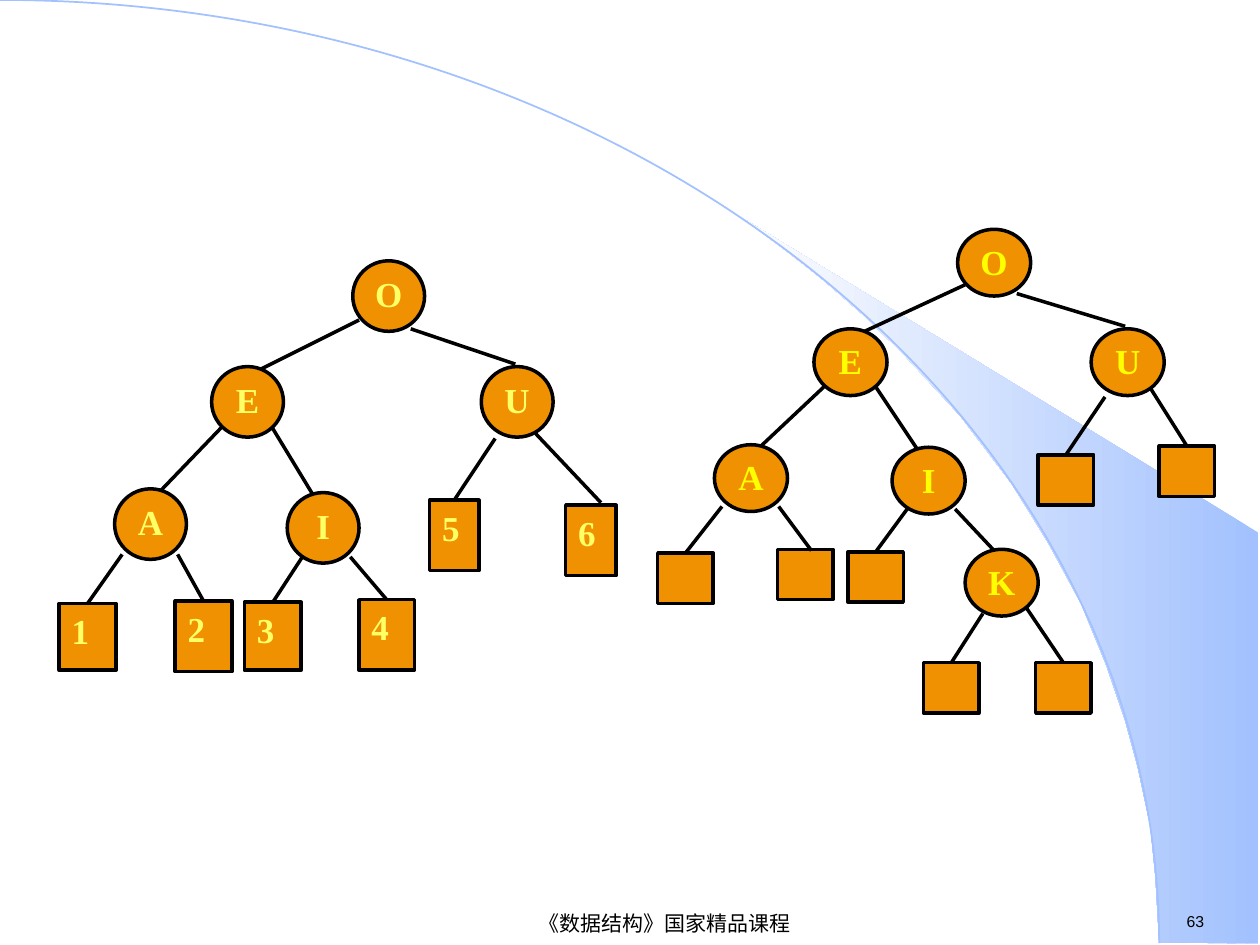
from pptx import Presentation
from pptx import util as u
from pptx.dml.color import RGBColor
from pptx.enum import shapes, text
from lxml import etree

COLORS = {
    "node": "EF9100",
    "outline": "000000",
    "left label": "FFFF66",
    "right label": "FFFF00",
    "sky": "A2C1FE",
    "pale": "FEFEFE",
    "footer": "000000",
}
DRAWING = "{http://schemas.openxmlformats.org/drawingml/2006/main}"

presentation = Presentation()
presentation.slide_width = u.Inches(10)
presentation.slide_height = u.Inches(7.5)
slide = presentation.slides.add_slide(presentation.slide_layouts[6])


def write(shape, words, size, font, color, align, margins, anchor):
    frame = shape.text_frame
    frame.margin_left = frame.margin_right = u.Inches(margins[0])
    frame.margin_top = frame.margin_bottom = u.Inches(margins[1])
    frame.vertical_anchor = anchor
    frame.text = words
    paragraph = frame.paragraphs[0]
    paragraph.alignment = align
    for run in paragraph.runs:
        run.font.size = u.Pt(size)
        run.font.name = font
        run.font.bold = font == "Times New Roman"
        run.font.color.rgb = RGBColor.from_string(COLORS[color])


def add_node(kind, left, top, width, height):
    shape = slide.shapes.add_shape(
        kind, u.Inches(left), u.Inches(top), u.Inches(width), u.Inches(height))
    shape.shadow.inherit = False
    shape.fill.solid()
    shape.fill.fore_color.rgb = RGBColor.from_string(COLORS["node"])
    shape.line.color.rgb = RGBColor.from_string(COLORS["outline"])
    shape.line.width = u.Pt(2)
    return shape


beam_points = [
    (9.2, 7.48), (9.99, 7.49), (9.99, 4.23), (5.89, 1.73), (6.24, 1.99), (6.53, 2.22),
    (6.85, 2.5), (7.16, 2.8), (7.62, 3.3), (8.03, 3.84), (8.32, 4.31), (8.58, 4.79),
    (8.78, 5.28), (8.93, 5.72), (9.03, 6.09), (9.13, 6.56), (9.17, 6.96),
]
corners = [(u.Inches(x), u.Inches(y)) for x, y in beam_points]
builder = slide.shapes.build_freeform(*corners[0])
builder.add_line_segments(corners[1:], close=True)
beam = builder.convert_to_shape()
beam.shadow.inherit = False
beam.line.fill.background()
beam.fill.gradient()
beam.fill.gradient_angle = 180
for stop, name, position in zip(beam.fill.gradient_stops, ["sky", "pale"], [0, 1]):
    stop.color.rgb = RGBColor.from_string(COLORS[name])
    stop.position = position

arc = slide.shapes.add_shape(
    shapes.MSO_SHAPE.ARC, u.Inches(-9.2), u.Inches(0), u.Inches(18.4), u.Inches(14.97))
arc.shadow.inherit = False
arc.fill.background()
arc.line.color.rgb = RGBColor.from_string(COLORS["sky"])
arc.line.width = u.Pt(1)

footers = [
    ("63", 9.32, 7.19, 0.77, 0.25, 9, text.PP_ALIGN.LEFT, text.MSO_ANCHOR.TOP),
    ("《数据结构》国家精品课程", 2.4, 7.21, 5.75, 0.24, 12, text.PP_ALIGN.CENTER,
     text.MSO_ANCHOR.MIDDLE),
]
for words, left, top, width, height, size, align, anchor in footers:
    box = slide.shapes.add_textbox(
        u.Inches(left), u.Inches(top), u.Inches(width), u.Inches(height))
    box.text_frame.word_wrap = True
    write(box, words, size, "Arial", "footer", align, (0.1, 0.05), anchor)

trees = [
    {
        "label": "left label",
        "circle": (0.57, 0.56),
        "circles": [("O", 2.8, 2.07), ("E", 1.68, 2.91), ("A", 0.91, 3.88),
                    ("U", 3.82, 2.91), ("I", 2.28, 3.91)],
        "leaves": [("1", 0.47, 4.79, 0.45, 0.53), ("2", 1.39, 4.77, 0.45, 0.56),
                   ("3", 1.94, 4.78, 0.45, 0.54), ("4", 2.85, 4.76, 0.44, 0.56),
                   ("5", 3.41, 3.97, 0.39, 0.56), ("6", 4.49, 4.01, 0.4, 0.56)],
        "edges": [(2.85, 2.54, 2.05, 2.94), (3.26, 2.61, 4.09, 2.89),
                  (1.77, 3.38, 1.27, 3.9), (2.14, 3.36, 2.51, 3.97),
                  (3.93, 3.48, 3.6, 3.97), (4.25, 3.44, 4.77, 3.99),
                  (0.97, 4.4, 0.65, 4.77), (1.41, 4.4, 1.66, 4.77),
                  (2.4, 4.42, 2.15, 4.8), (2.78, 4.42, 3.08, 4.78)],
    },
    {
        "label": "right label",
        "circle": (0.58, 0.53),
        "circles": [("O", 7.6, 1.82), ("E", 6.46, 2.61), ("A", 5.67, 3.53),
                    ("U", 8.66, 2.61), ("I", 7.08, 3.55), ("K", 7.66, 4.36)],
        "leaves": [("", left, top, 0.44, 0.4) for left, top in [
            (5.22, 4.39), (6.17, 4.36), (6.73, 4.38), (8.24, 3.61),
            (9.2, 3.54), (7.33, 5.26), (8.22, 5.26)]],
        "edges": [(7.66, 2.26, 6.84, 2.64), (8.07, 2.33, 8.93, 2.59),
                  (6.55, 3.06, 6.04, 3.54), (6.93, 3.04, 7.31, 3.61),
                  (8.77, 3.15, 8.42, 3.61), (9.13, 3.08, 9.45, 3.57),
                  (5.73, 4.02, 5.4, 4.37), (6.18, 4.02, 6.44, 4.37),
                  (7.2, 4.04, 6.94, 4.4), (7.58, 4.04, 7.89, 4.37),
                  (7.8, 4.87, 7.54, 5.23), (8.15, 4.83, 8.4, 5.25)],
    },
]

for tree in trees:
    leaves = []
    for label, left, top, width, height in tree["leaves"]:
        leaf = add_node(shapes.MSO_SHAPE.RECTANGLE, left, top, width, height)
        leaves.append(leaf)
        if label:
            write(leaf, label, 20, "Times New Roman", tree["label"],
                  text.PP_ALIGN.LEFT, (0.1, 0.05), text.MSO_ANCHOR.TOP)

    for edge in tree["edges"]:
        start_x, start_y, end_x, end_y = [u.Inches(length) for length in edge]
        connector = slide.shapes.add_connector(
            shapes.MSO_CONNECTOR.STRAIGHT, start_x, start_y, end_x, end_y)
        connector.line.color.rgb = RGBColor.from_string(COLORS["outline"])
        connector.line.width = u.Pt(2)
        etree.SubElement(connector._element.spPr, DRAWING + "effectLst")
        for leaf in leaves:
            offset_x = abs(leaf.left + leaf.width / 2 - end_x)
            offset_y = abs(leaf.top - end_y)
            if max(offset_x, offset_y) < u.Inches(0.05):
                connector.end_connect(leaf, 0)

    for label, left, top in tree["circles"]:
        circle = add_node(shapes.MSO_SHAPE.OVAL, left, top, *tree["circle"])
        write(circle, label, 20, "Times New Roman", tree["label"],
              text.PP_ALIGN.CENTER, (0.02, 0.01), text.MSO_ANCHOR.TOP)

presentation.save("out.pptx")
